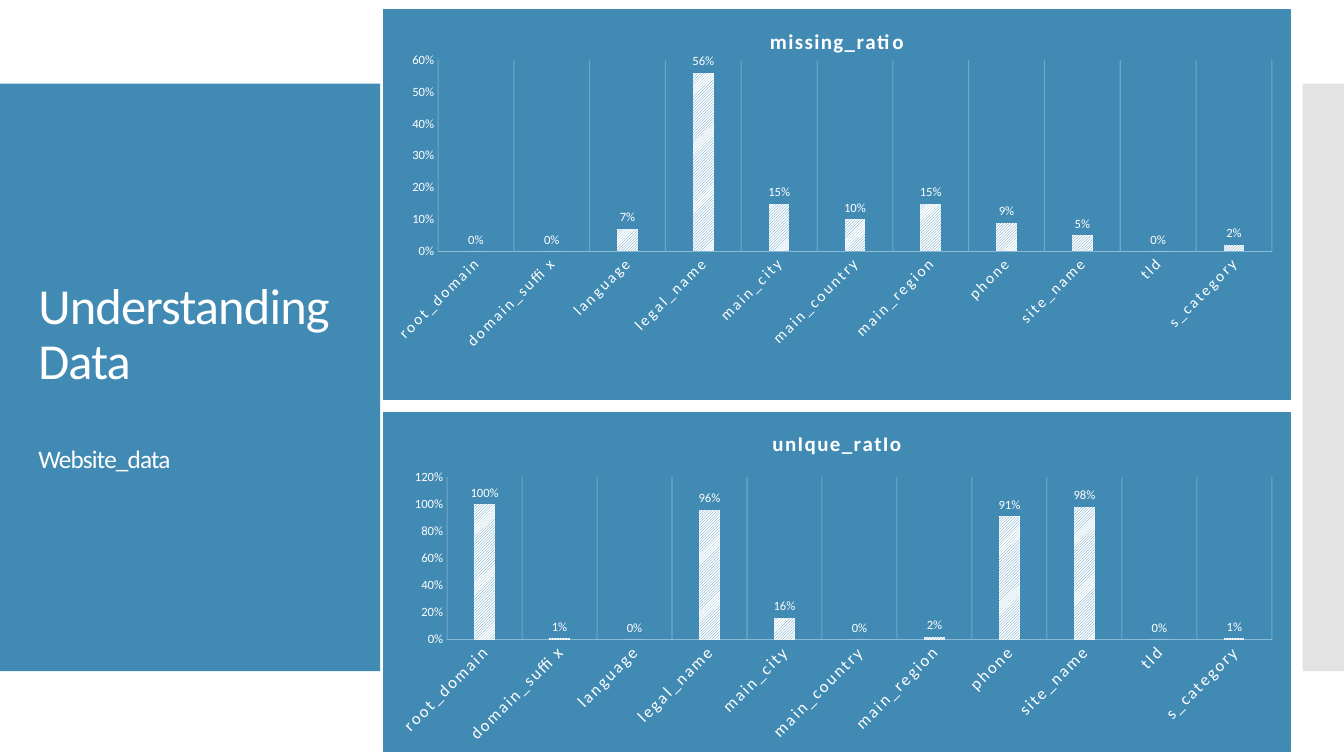
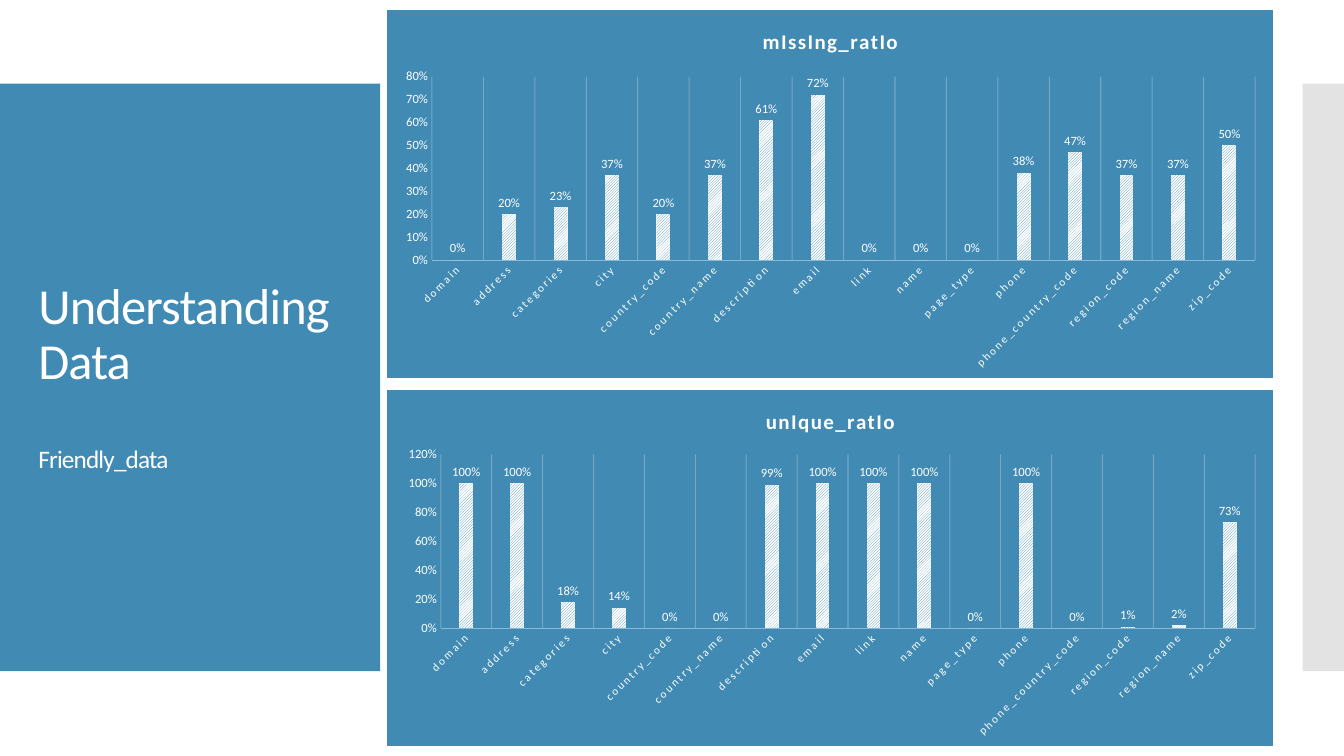
from lxml import etree
from pptx import Presentation
from pptx.chart.data import CategoryChartData
from pptx.dml.color import RGBColor
from pptx.enum.chart import XL_CHART_TYPE as ChartType
from pptx.enum.chart import XL_LABEL_POSITION as LabelPosition
from pptx.enum.chart import XL_TICK_MARK as TickMark
from pptx.enum.dml import MSO_PATTERN as Pattern
from pptx.enum.shapes import MSO_SHAPE as Shape
from pptx.enum.text import MSO_ANCHOR as Anchor
from pptx.enum.text import MSO_AUTO_SIZE as AutoSize
from pptx.enum.text import PP_ALIGN as Align
from pptx.oxml import parse_xml
from pptx.oxml.ns import nsdecls, qn
from pptx.util import Inches, Pt

COLORS = {"blue": "418AB3", "gray": "C8C8C8", "white": "FFFFFF", "axis": "8ABAD4"}
FONT = "Calibri"

SITE_FIELDS = ["root_domain", "domain_suffix", "language", "legal_name", "main_city",
               "main_country", "main_region", "phone", "site_name", "tld", "s_category"]
SOCIAL_FIELDS = ["domain", "address", "categories", "city", "country_code", "country_name",
                 "description", "email", "link", "name", "page_type", "phone",
                 "phone_country_code", "region_code", "region_name", "zip_code"]

# Frames are left, top, width, height in inches; plots are shares of the frame.
PAGES = [
    ("Website_data", SITE_FIELDS, [
        dict(title="missing_ratio", frame=(3.8, 0.09, 9, 3.88), label_size=11,
             plot=(0.06, 0.13, 0.92, 0.49), top=0.6, step=0.1,
             values=[0, 0, 0.07, 0.56, 0.15, 0.1, 0.15, 0.09, 0.05, 0, 0.02]),
        dict(title="unIque_ratIo", frame=(3.8, 4.09, 9, 3.37), label_size=12,
             plot=(0.07, 0.19, 0.91, 0.48), top=1.2, step=0.2,
             values=[1, 0.01, 0, 0.96, 0.16, 0, 0.02, 0.91, 0.98, 0, 0.01]),
    ]),
    ("Friendly_data", SOCIAL_FIELDS, [
        dict(title="mIssIng_ratIo", frame=(3.84, 0.1, 8.79, 3.65), label_size=8,
             plot=(0.05, 0.18, 0.93, 0.5), top=0.8, step=0.1,
             values=[0, 0.2, 0.23, 0.37, 0.2, 0.37, 0.61, 0.72,
                     0, 0, 0, 0.38, 0.47, 0.37, 0.37, 0.5]),
        dict(title="unIque_ratIo", frame=(3.84, 3.87, 8.79, 3.53), label_size=8,
             plot=(0.06, 0.18, 0.92, 0.49), top=1.2, step=0.2,
             values=[1, 1, 0.18, 0.14, 0, 0, 0.99, 1, 1, 1, 0, 1, 0, 0.01, 0.02, 0.73]),
    ]),
]


def rgb(name):
    return RGBColor.from_string(COLORS[name])


def set_alpha(color, percent):
    etree.SubElement(color, qn("a:alpha")).set("val", str(percent * 1000))


class Deck:
    def __init__(self):
        self.deck = Presentation()
        self.deck.slide_width, self.deck.slide_height = Inches(13.33), Inches(7.5)
        self.layout = self.deck.slide_layouts[5]
        self.page = None

    def add_page(self):
        self.page = self.deck.slides.add_slide(self.layout)

    def add_shared_band(self, left, width, color, alpha=100):
        """Draw a side band and move it to the layout, behind every page."""
        band = self.page.shapes.add_shape(
            Shape.RECTANGLE, Inches(left), Inches(0.83), Inches(width), Inches(5.83))
        band.shadow.inherit = False
        band.fill.solid()
        band.fill.fore_color.rgb = rgb(color)
        band.line.fill.background()
        if alpha < 100:
            set_alpha(band.element.xpath("./p:spPr/a:solidFill/a:srgbClr")[0], alpha)
        tree = self.layout.element.xpath(".//p:spTree")[0]
        band.element.xpath(".//p:cNvPr")[0].set("id", str(100 + len(tree)))
        tree.insert(2, band.element)

    def style_font(self, font, size, bold=False):
        font.name, font.size, font.bold = FONT, Pt(size), bold
        font.color.rgb = rgb("white")

    def style_paragraph(self, para, size, spacing, bold=False):
        """Set the font of a paragraph; spacing is in hundredths of a point."""
        self.style_font(para.font, size, bold)
        para._p.find(".//" + qn("a:defRPr")).set("spc", str(spacing))

    def add_title(self, heading, dataset):
        box = self.page.shapes.title
        box.left, box.top, box.width, box.height = map(Inches, (0.28, 1.23, 3.22, 5.03))
        frame = box.text_frame
        frame.word_wrap, frame.auto_size = True, AutoSize.NONE
        frame.vertical_anchor = Anchor.MIDDLE
        frame.text = f"{heading}\n{dataset}"
        for para, size, gap in zip(frame.paragraphs, (36, 18), (0, 40)):
            para.alignment, para.line_spacing = Align.LEFT, 0.9
            para.space_before = Pt(gap)
            self.style_paragraph(para, size, -60)

    def add_chart(self, fields, title, frame, label_size, plot, top, step, values):
        data = CategoryChartData(number_format="0%")
        data.categories = fields
        data.add_series(title, values)
        chart = self.page.shapes.add_chart(
            ChartType.COLUMN_CLUSTERED, *map(Inches, frame), data).chart
        self.style_font(chart.font, 10)
        chart.has_legend = False
        chart.has_title = True
        chart.chart_title.text_frame.text = title
        self.style_paragraph(chart.chart_title.text_frame.paragraphs[0], 15, 100, True)
        self.style_columns(chart.plots[0])
        self.style_axes(chart, label_size, top, step)
        self.fill_chart(chart)
        self.place_plot(chart, plot)

    def style_columns(self, columns):
        columns.gap_width, columns.overlap = 269, -20
        columns.vary_by_categories = False
        fill = columns.series[0].format.fill
        fill.patterned()
        fill.pattern = Pattern.LIGHT_UPWARD_DIAGONAL
        fill.fore_color.rgb, fill.back_color.rgb = rgb("blue"), rgb("white")
        columns.has_data_labels = True
        labels = columns.data_labels
        labels.show_value, labels.position = True, LabelPosition.OUTSIDE_END
        labels.number_format, labels.number_format_is_linked = "0%", False
        self.style_font(labels.font, 9)

    def style_axes(self, chart, label_size, top, step):
        fields, ratios = chart.category_axis, chart.value_axis
        for axis, size in ((fields, label_size), (ratios, 9)):
            axis.major_tick_mark = axis.minor_tick_mark = TickMark.NONE
            self.style_font(axis.tick_labels.font, size)
        ratios.minimum_scale, ratios.maximum_scale, ratios.major_unit = 0, top, step
        ratios.has_major_gridlines = False
        ratios.format.line.fill.background()
        ratios.tick_labels.number_format = "0%"
        ratios.tick_labels.number_format_is_linked = False
        fields.format.line.color.rgb = rgb("axis")
        fields.format.line.width = Pt(0.25)
        fields.has_major_gridlines = True
        grid = fields.major_gridlines.format.line
        grid.color.rgb, grid.width = rgb("white"), Pt(0.75)
        root = chart.element
        set_alpha(root.xpath(".//c:majorGridlines//a:srgbClr")[0], 25)
        root.xpath(".//c:catAx/c:txPr/a:bodyPr")[0].set("rot", "-2700000")
        root.xpath(".//c:catAx/c:txPr//a:defRPr")[0].set("spc", "150")

    def fill_chart(self, chart):
        paint = f'<a:solidFill><a:srgbClr val="{COLORS["blue"]}"/></a:solidFill>'
        area = parse_xml(f'<c:spPr {nsdecls("c", "a")}>{paint}'
                         f'<a:ln w="{Pt(0.75)}">{paint}</a:ln></c:spPr>')
        chart.element.find(qn("c:chart")).addnext(area)

    def place_plot(self, chart, plot):
        area = chart.element.xpath(".//c:plotArea")[0]
        for layout in area.findall(qn("c:layout")):
            area.remove(layout)
        modes = '<c:xMode val="edge"/><c:yMode val="edge"/>'
        sizes = "".join(f'<c:{key} val="{share}"/>' for key, share in zip("xywh", plot))
        area.insert(0, parse_xml(
            f'<c:layout {nsdecls("c")}><c:manualLayout><c:layoutTarget val="inner"/>'
            f'{modes}{sizes}</c:manualLayout></c:layout>'))


def main():
    show = Deck()
    for number, (dataset, fields, charts) in enumerate(PAGES):
        show.add_page()
        if number == 0:
            show.add_shared_band(0, 3.77, "blue")
            show.add_shared_band(12.92, 0.42, "gray", alpha=50)
        show.add_title("Understanding Data", dataset)
        for chart in charts:
            show.add_chart(fields, **chart)
    show.deck.save("out.pptx")


if __name__ == "__main__":
    main()
